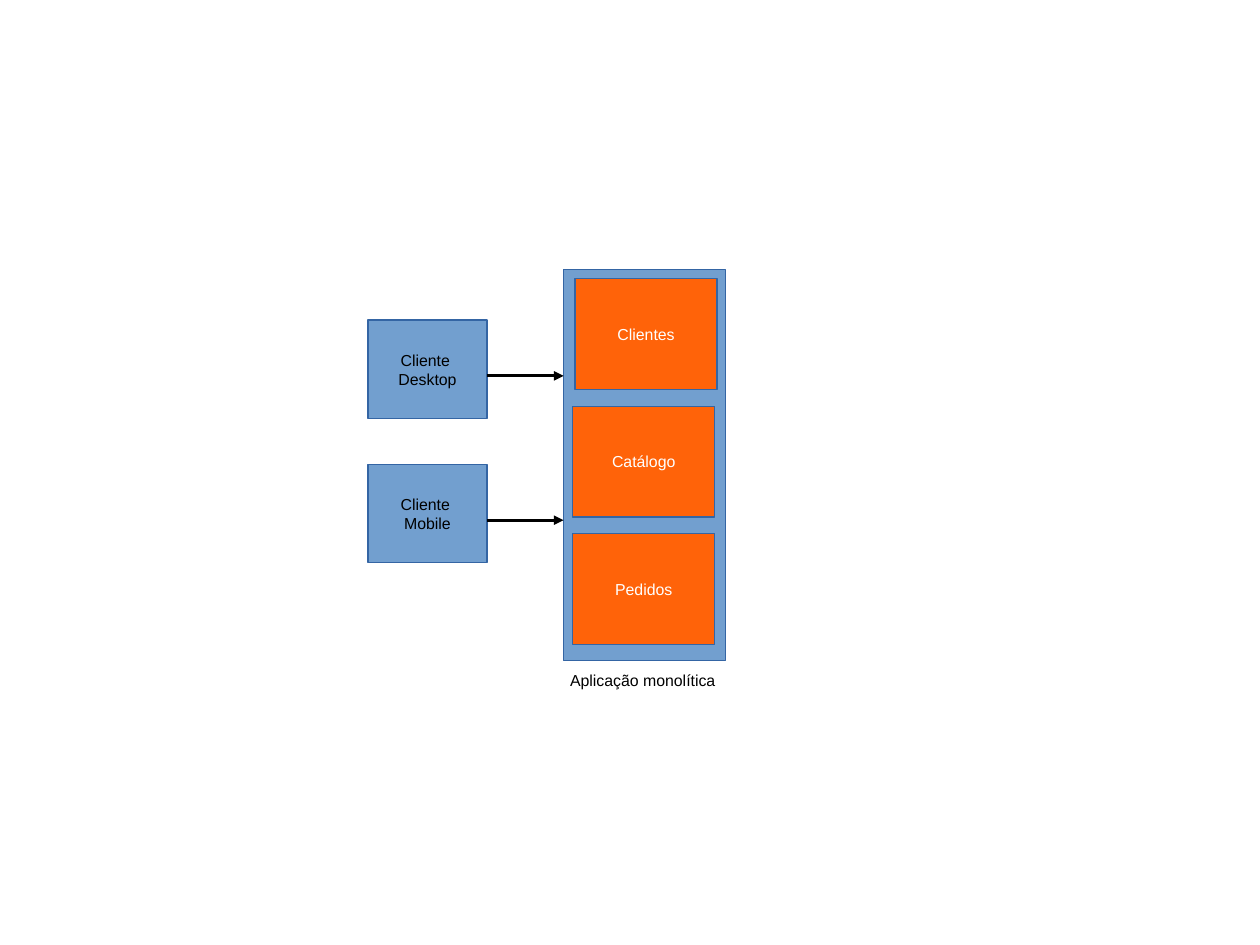
from dataclasses import dataclass

from lxml.etree import SubElement
from pptx import Presentation
from pptx.dml.color import RGBColor
from pptx.enum.shapes import MSO_CONNECTOR, MSO_SHAPE
from pptx.enum.text import MSO_ANCHOR, MSO_AUTO_SIZE, PP_ALIGN
from pptx.oxml.ns import qn
from pptx.util import Pt


@dataclass(frozen=True)
class Theme:
    blue: RGBColor = RGBColor(0x72, 0x9F, 0xCF)
    orange: RGBColor = RGBColor(0xFF, 0x63, 0x09)
    border: RGBColor = RGBColor(0x34, 0x65, 0xA4)
    black: RGBColor = RGBColor(0, 0, 0)
    white: RGBColor = RGBColor(0xFF, 0xFF, 0xFF)
    font: str = "Arial"
    text_size: float = 10
    hairline: float = 0


class Diagram:
    def __init__(self, slide, theme):
        self.slide = slide
        self.theme = theme

    def add_lines(self, frame, lines, color, align):
        for index, line in enumerate(lines):
            paragraph = frame.paragraphs[0] if index == 0 else frame.add_paragraph()
            paragraph.alignment = align
            run = paragraph.add_run()
            run.text = line
            run.font.name = self.theme.font
            run.font.size = Pt(self.theme.text_size)
            run.font.color.rgb = color

    def box(self, left, top, width, height, fill, lines=(), color=None):
        box = self.slide.shapes.add_shape(
            MSO_SHAPE.RECTANGLE, Pt(left), Pt(top), Pt(width), Pt(height))
        box.shadow.inherit = False
        box.fill.solid()
        box.fill.fore_color.rgb = fill
        box.line.color.rgb = self.theme.border
        box.line.width = Pt(self.theme.hairline)
        box.text_frame.word_wrap = False
        box.text_frame.vertical_anchor = MSO_ANCHOR.MIDDLE
        self.add_lines(box.text_frame, lines, color, PP_ALIGN.CENTER)

    def caption(self, left, top, width, height, text):
        caption = self.slide.shapes.add_textbox(
            Pt(left), Pt(top), Pt(width), Pt(height))
        caption.text_frame.word_wrap = True
        caption.text_frame.auto_size = MSO_AUTO_SIZE.SHAPE_TO_FIT_TEXT
        self.add_lines(caption.text_frame, [text], self.theme.black, PP_ALIGN.LEFT)

    def arrow(self, start, end, y):
        arrow = self.slide.shapes.add_connector(
            MSO_CONNECTOR.STRAIGHT, Pt(start), Pt(y), Pt(end), Pt(y))
        arrow.line.color.rgb = self.theme.black
        arrow.line.width = Pt(self.theme.hairline)
        properties = arrow._element.spPr
        SubElement(properties.find(qn("a:ln")), qn("a:tailEnd"), type="triangle")
        SubElement(properties, qn("a:effectLst"))


def main():
    presentation = Presentation()
    presentation.slide_width = Pt(793.7)
    presentation.slide_height = Pt(595.3)
    theme = Theme()
    diagram = Diagram(
        presentation.slides.add_slide(presentation.slide_layouts[6]), theme)

    # Monolithic application with its modules
    application_left = 355
    diagram.box(application_left, 170, 101.8, 246.3, theme.blue)
    modules = [("Clientes", 362.2), ("Catálogo", 360.7), ("Pedidos", 360.7)]
    for index, (module, left) in enumerate(modules):
        diagram.box(left, 175.7 + index * 80.2, 89.5, 69.8,
                    theme.orange, [module], theme.white)
    diagram.caption(352.1, 419, 117.4, 18, "Aplicação monolítica")

    # Clients, each with an arrow to the application
    client_left, client_width = 231.8, 75
    for index, device in enumerate(["Desktop", "Mobile"]):
        client_top = 201.6 + index * 90.9
        diagram.box(client_left, client_top, client_width, 62,
                    theme.blue, ["Cliente ", device], theme.black)
        diagram.arrow(client_left + client_width, application_left,
                      client_top + 35.2)

    presentation.save("out.pptx")


if __name__ == "__main__":
    main()
